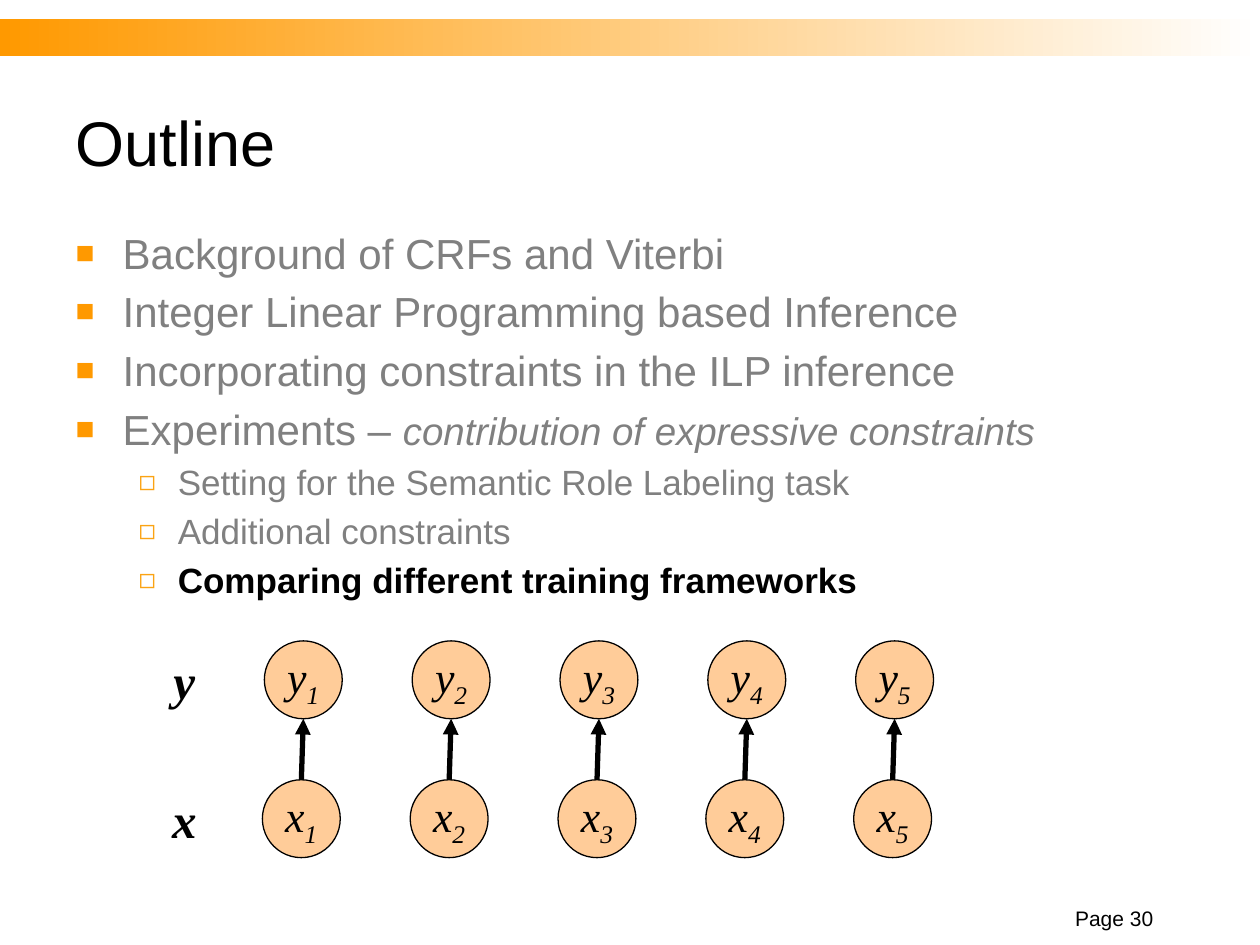
from lxml.etree import SubElement
from pptx import Presentation
from pptx.dml.color import RGBColor
from pptx.enum.shapes import MSO_CONNECTOR as Connector, MSO_SHAPE as Shape
from pptx.enum.text import MSO_ANCHOR as Anchor, MSO_AUTO_SIZE as AutoSize, PP_ALIGN as Align
from pptx.oxml.ns import qn
from pptx.util import Cm, Pt

COLORS = {
    "orange": "FF9900",
    "amber": "FBA313",
    "peach": "FFCC99",
    "gray": "808080",
    "black": "000000",
    "white": "FFFFFF",
}
LEVELS = [
    {"size": 24, "margin": 0.95, "indent": -0.95, "char": "■", "color": "orange", "scale": 75},
    {"size": 20, "margin": 2.06, "indent": -0.79, "char": "◻", "color": "amber", "scale": 80},
]


class OutlineSlide:
    sans = "Arial"
    serif = "Times New Roman"

    def __init__(self, presentation):
        self.slide = presentation.slides.add_slide(presentation.slide_layouts[1])
        self.shapes = self.slide.shapes

    def rgb(self, color):
        return RGBColor.from_string(COLORS[color])

    def style(self, font, name, size, color="black", bold=False, italic=False):
        font.name, font.size = name, Pt(size)
        font.bold, font.italic = bold, italic
        font.color.rgb = self.rgb(color)

    def place(self, shape, left, top, width, height):
        shape.left, shape.top = Cm(left), Cm(top)
        shape.width, shape.height = Cm(width), Cm(height)

    def inset(self, frame):
        frame.margin_left = frame.margin_right = Cm(0.15)
        frame.margin_top = frame.margin_bottom = Cm(0.08)

    def band(self, left, top, width, height):
        band = self.shapes.add_shape(Shape.RECTANGLE, Cm(left), Cm(top), Cm(width), Cm(height))
        band.shadow.inherit = False
        band.line.fill.background()
        band.fill.gradient()
        band.fill.gradient_angle = 0
        for stop, color in zip(band.fill.gradient_stops, ("orange", "white")):
            stop.color.rgb = self.rgb(color)

    def title(self, text, *box):
        heading = self.shapes.title
        self.place(heading, *box)
        frame = heading.text_frame
        frame.auto_size = AutoSize.NONE
        frame.vertical_anchor = Anchor.MIDDLE
        frame.text = text
        paragraph = frame.paragraphs[0]
        paragraph.alignment = Align.LEFT
        self.style(paragraph.font, self.sans, 36)

    def bullet(self, paragraph, level):
        look = LEVELS[level]
        paragraph.level = level
        properties = paragraph._p.get_or_add_pPr()
        properties.set("marL", str(Cm(look["margin"])))
        properties.set("indent", str(Cm(look["indent"])))
        color = SubElement(properties, qn("a:buClr"))
        SubElement(color, qn("a:srgbClr"), val=COLORS[look["color"]])
        SubElement(properties, qn("a:buSzPct"), val=str(look["scale"] * 1000))
        SubElement(properties, qn("a:buFont"), typeface=self.sans)
        SubElement(properties, qn("a:buChar"), char=look["char"])

    def outline(self, topics, *box):
        body = self.slide.placeholders[1]
        self.place(body, *box)
        frame = body.text_frame
        frame.auto_size = AutoSize.NONE
        for index, (level, text, aside, current) in enumerate(topics):
            paragraph = frame.add_paragraph() if index else frame.paragraphs[0]
            self.bullet(paragraph, level)
            color = "black" if current else "gray"
            self.style(paragraph.font, self.sans, LEVELS[level]["size"], color, bold=current)
            paragraph.add_run().text = text
            if aside:
                remark = paragraph.add_run()
                remark.text = aside
                remark.font.size = Pt(22)
                remark.font.italic = True

    def label(self, text, left, top, width, height, name, size, align, anchor=Anchor.TOP, **look):
        box = self.shapes.add_textbox(Cm(left), Cm(top), Cm(width), Cm(height))
        frame = box.text_frame
        frame.word_wrap = True
        frame.vertical_anchor = anchor
        self.inset(frame)
        frame.text = text
        paragraph = frame.paragraphs[0]
        paragraph.alignment = align
        self.style(paragraph.font, name, size, **look)
        return box

    def node(self, letter, number, left, top, diameter):
        circle = self.shapes.add_shape(Shape.OVAL, Cm(left), Cm(top), Cm(diameter), Cm(diameter))
        circle.shadow.inherit = False
        circle.fill.solid()
        circle.fill.fore_color.rgb = self.rgb("peach")
        circle.line.color.rgb = self.rgb("black")
        circle.line.width = Pt(0.75)
        frame = circle.text_frame
        frame.word_wrap = False
        frame.vertical_anchor = Anchor.MIDDLE
        self.inset(frame)
        paragraph = frame.paragraphs[0]
        paragraph.alignment = Align.CENTER
        self.style(paragraph.font, self.serif, 25, italic=True)
        paragraph.add_run().text = letter
        subscript = paragraph.add_run()
        subscript.text = str(number)
        subscript._r.get_or_add_rPr().set("baseline", "-25000")
        return circle

    def arrow(self, source, target):
        link = self.shapes.add_connector(
            Connector.STRAIGHT,
            source.left + source.width // 2, source.top,
            target.left + target.width // 2, target.top + target.height,
        )
        link.line.color.rgb = self.rgb("black")
        link.line.width = Pt(3)
        SubElement(link.line._get_or_add_ln(), qn("a:tailEnd"), type="triangle")
        SubElement(link._element.spPr, qn("a:effectLst"))


presentation = Presentation()
presentation.slide_width, presentation.slide_height = Cm(25.4), Cm(19.05)
page = OutlineSlide(presentation)

page.band(0, 0.38, 25.4, 0.76)
page.title("Outline", 1.27, 1.47, 22.86, 2.74)
page.outline(
    [
        (0, "Background of CRFs and Viterbi", "", False),
        (0, "Integer Linear Programming based Inference", "", False),
        (0, "Incorporating constraints in the ILP inference", "", False),
        (0, "Experiments – ", "contribution of expressive constraints", False),
        (1, "Setting for the Semantic Role Labeling task", "", False),
        (1, "Additional constraints", "", False),
        (1, "Comparing different training frameworks", "", True),
    ],
    1.27, 4.45, 22.86, 13.13,
)
page_number = page.label("Page 30", 20.96, 18.21, 2.54, 0.64, page.sans, 12, Align.RIGHT, Anchor.BOTTOM)
page_number.text_frame.margin_right = Cm(0.25)

DIAMETER, PITCH, COUNT = 1.57, 2.98, 5
ROWS = {"y": (5.33, 12.92), "x": (5.29, 15.72)}
nodes = {}
for letter, (left, top) in ROWS.items():
    page.label(letter, 3.18, top + 0.11, 1.07, 1.35, page.serif, 28, Align.CENTER, bold=True, italic=True)
    nodes[letter] = [
        page.node(letter, step + 1, left + step * PITCH, top, DIAMETER) for step in range(COUNT)
    ]
for observation, state in zip(nodes["x"], nodes["y"]):
    page.arrow(observation, state)

presentation.save("out.pptx")
